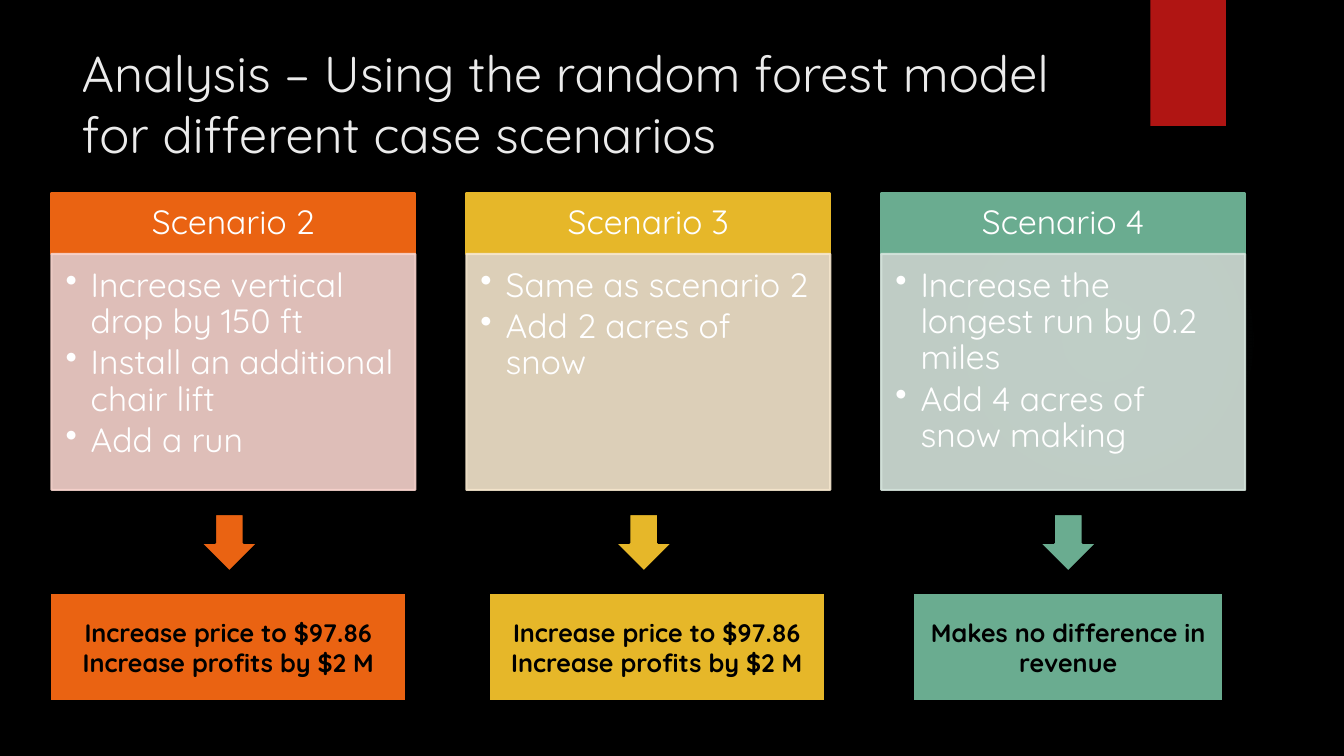
from lxml.etree import SubElement
from pptx import Presentation
from pptx.dml.color import RGBColor
from pptx.enum.shapes import MSO_SHAPE
from pptx.enum.text import MSO_ANCHOR, PP_ALIGN
from pptx.oxml import parse_xml
from pptx.oxml.ns import nsdecls, qn
from pptx.util import Inches, Pt

FONT = "Quicksand"
COLORS = {
    "back": "000000", "ink": "000000", "white": "FFFFFF", "title": "EBEBEB",
    "red": "B01513", "glow": "50B9C1",
    "orange": "EA6312", "gold": "E6B729", "green": "6AAC90",
    "rose": "F7D3CC", "sand": "F5E6CD", "mint": "D4E3DB",
}

PRICE = ["Increase price to $97.86", "Increase profits by $2 M"]
# Heading, bullets, strong and pale colour, arrow left, result left and width, result
CASES = [
    ("Scenario 2",
     ["Increase vertical drop by 150 ft", "Install an additional chair lift", "Add a run"],
     "orange", "rose", 1.99, 0.5, 3.53, PRICE),
    ("Scenario 3", ["Same as scenario 2", "Add 2 acres of snow"],
     "gold", "sand", 6.1, 4.85, 3.33, PRICE),
    ("Scenario 4", ["Increase the longest run by 0.2 miles", "Add 4 acres of snow making"],
     "green", "mint", 10.31, 9.06, 3.07, ["Makes no difference in revenue"]),
]


def rgb(name):
    return RGBColor.from_string(COLORS[name])


def fade(fill, alpha):
    color = fill._xPr.find(qn("a:solidFill"))[0]
    SubElement(color, qn("a:alpha"), val=str(alpha * 1000))


def draw(slide, kind, box, fill, line=None, alpha=None):
    shape = slide.shapes.add_shape(kind, *map(Inches, box))
    shape.shadow.inherit = False
    shape.fill.solid()
    shape.fill.fore_color.rgb = rgb(fill)
    if line:
        shape.line.color.rgb = rgb(line)
        shape.line.width = Pt(1.5)
    else:
        shape.line.fill.background()
    if alpha:
        fade(shape.fill, alpha)
        fade(shape.line.fill, alpha)
    return shape


def write(shape, lines, size=18, color="ink", bold=False, align=PP_ALIGN.CENTER,
          anchor=MSO_ANCHOR.MIDDLE, inset=(0.1, 0.05, 0.1, 0.05),
          spacing=None, after=0, bullet=False):
    frame = shape.text_frame
    frame.word_wrap = True
    frame.vertical_anchor = anchor
    (frame.margin_left, frame.margin_top,
     frame.margin_right, frame.margin_bottom) = map(Inches, inset)
    for i, text in enumerate(lines):
        para = frame.add_paragraph() if i else frame.paragraphs[0]
        para.alignment = align
        para.line_spacing = spacing
        para.space_after = Pt(after)
        run = para.add_run()
        run.text = text
        run.font.name = FONT
        run.font.size = Pt(size)
        run.font.bold = bold
        run.font.color.rgb = rgb(color)
        if bullet:
            props = para._p.get_or_add_pPr()
            props.set("marL", str(Inches(0.25)))
            props.set("indent", str(-Inches(0.25)))
            SubElement(props, qn("a:buChar"), char="•")


def add_decor(slide):
    # Soft glow, fading out from its centre
    glow = draw(slide, MSO_SHAPE.OVAL, (9.41, 1.83, 3.08, 3.08), "glow")
    stops = "".join(
        f'<a:gs pos="{pos}000"><a:srgbClr val="{COLORS["glow"]}">'
        f'<a:alpha val="{alpha}000"/></a:srgbClr></a:gs>'
        for pos, alpha in [(0, 7), (36, 6), (69, 0)])
    grad = parse_xml(
        f'<a:gradFill {nsdecls("a")}><a:gsLst>{stops}</a:gsLst><a:path path="circle">'
        '<a:fillToRect l="50000" t="50000" r="50000" b="50000"/></a:path></a:gradFill>')
    props = glow._element.spPr
    props.replace(props.find(qn("a:solidFill")), grad)
    # Red tab at the top edge
    draw(slide, MSO_SHAPE.RECTANGLE, (11.41, 0, 0.75, 1.25), "red")


def add_title(slide, box):
    title = slide.shapes.title
    title.left, title.top, title.width, title.height = map(Inches, box)
    write(title, ["Analysis – Using the random forest model for different case scenarios"],
          size=36, color="title", align=PP_ALIGN.LEFT, anchor=MSO_ANCHOR.TOP)


def add_card(slide, box, name, points, strong, pale):
    left, top, width, height = box
    head = 0.6
    bar = draw(slide, MSO_SHAPE.RECTANGLE, (left, top, width, head), strong, strong)
    write(bar, [name], size=24, color="white", inset=(0.19, 0.11, 0.19, 0.11), spacing=0.9)
    body = draw(slide, MSO_SHAPE.RECTANGLE, (left, top + head, width, height - head),
                pale, pale, alpha=90)
    write(body, points, size=24, color="white", align=PP_ALIGN.LEFT,
          anchor=MSO_ANCHOR.TOP, inset=(0.14, 0.14, 0.19, 0.21),
          spacing=0.9, after=3.6, bullet=True)


def add_result(slide, box, lines, strong, tip):
    left, top, width, height = box
    arrow = draw(slide, MSO_SHAPE.RIGHT_ARROW, (tip, top - 0.78, 0.57, 0.57), strong, "ink")
    arrow.rotation = 90
    panel = draw(slide, MSO_SHAPE.RECTANGLE, (left, top, width, height), strong, "ink")
    write(panel, lines, bold=True)


def main():
    deck = Presentation()
    deck.slide_width, deck.slide_height = Inches(13.33), Inches(7.5)
    slide = deck.slides.add_slide(deck.slide_layouts[5])
    slide.background.fill.solid()
    slide.background.fill.fore_color.rgb = rgb("back")

    add_decor(slide)
    add_title(slide, (0.71, 0.37, 10.29, 1.53))
    for i, (name, points, strong, pale, tip, left, width, lines) in enumerate(CASES):
        add_card(slide, (0.51 + 4.115 * i, 1.92, 3.61, 2.94), name, points, strong, pale)
        add_result(slide, (left, 5.88, width, 1.08), lines, strong, tip)
    deck.save("out.pptx")


if __name__ == "__main__":
    main()
